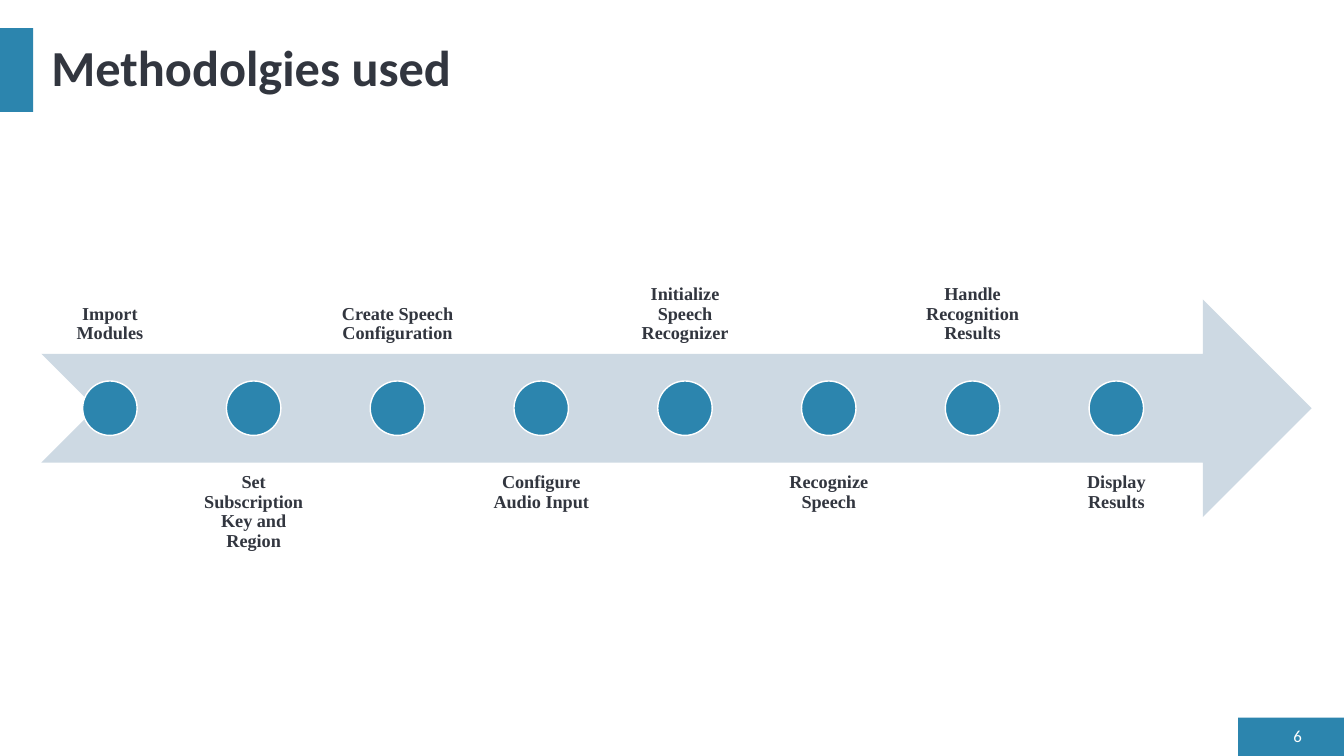
"""Build a slide with a timeline of eight steps along a notched arrow."""
from dataclasses import dataclass

from pptx import Presentation
from pptx import util as u
from pptx.dml.color import RGBColor
from pptx.enum import shapes, text

TITLE = "Methodolgies used"
PAGE = "6"
STEPS = [
    "Import Modules",
    "Set Subscription Key and Region",
    "Create Speech Configuration",
    "Configure Audio Input",
    "Initialize Speech Recognizer",
    "Recognize Speech",
    "Handle Recognition Results",
    "Display Results",
]


@dataclass(frozen=True)
class Theme:
    """Colours, fonts and type sizes."""
    blue: str = "2C85AE"
    pale: str = "CDD9E3"
    ink: str = "32363F"
    white: str = "FFFFFF"
    sans: str = "Calibri"
    serif: str = "Times New Roman"
    head: int = 36
    label: int = 13
    small: int = 12


T = Theme()
WIDE, HIGH = 13.33, 7.5
LEFT, SPAN = 0.41, 12.6
BAND = 2.16
MID = HIGH * 0.54
PITCH = SPAN * 0.9 * 1.006 / len(STEPS)
CELL = 1.36
DOT = BAND / 4

KIND = shapes.MSO_SHAPE
ALIGN = text.PP_ALIGN
ANCHOR = text.MSO_ANCHOR


def place(*box):
    return [u.Inches(v) for v in box]


def draw(host, kind, box, fill, line=None):
    item = host.shapes.add_shape(kind, *place(*box))
    item.shadow.inherit = False
    item.fill.solid()
    item.fill.fore_color.rgb = RGBColor.from_string(fill)
    if line:
        item.line.color.rgb = RGBColor.from_string(line)
        item.line.width = u.Pt(1)
    else:
        item.line.fill.background()


def write(item, words, face, size, tint, align, anchor, bold=True):
    frame = item.text_frame
    frame.text = words
    frame.word_wrap = True
    frame.auto_size = text.MSO_AUTO_SIZE.NONE
    frame.vertical_anchor = anchor
    para = frame.paragraphs[0]
    para.alignment = align
    para.line_spacing = 0.9
    font = para.runs[0].font
    font.name, font.size, font.bold = face, u.Pt(size), bold
    font.color.rgb = RGBColor.from_string(tint)
    return frame


def add_step(group, num, words):
    left = LEFT + num * PITCH
    above = num % 2 == 0
    top = MID - BAND / 4 - BAND if above else MID + BAND / 4
    label = group.shapes.add_textbox(*place(left, top, CELL, BAND))
    frame = write(label, words, T.serif, T.label, T.ink, ALIGN.CENTER,
                  ANCHOR.BOTTOM if above else ANCHOR.TOP)
    frame.margin_top = frame.margin_bottom = u.Inches(0.1)
    dot = (left + (CELL - DOT) / 2, MID - DOT / 2, DOT, DOT)
    draw(group, KIND.OVAL, dot, T.blue, T.white)


def main():
    prs = Presentation()
    prs.slide_width, prs.slide_height = place(WIDE, HIGH)
    slide = prs.slides.add_slide(prs.slide_layouts[5])

    draw(slide, KIND.RECTANGLE, (WIDE - 1.05, HIGH - 0.38, 1.05, 0.38), T.blue)
    draw(slide, KIND.RECTANGLE, (0, 0.28, 0.33, 0.83), T.blue)

    title = slide.shapes.title
    title.left, title.top, title.width, title.height = place(
        LEFT, 0.28, SPAN, 0.83)
    write(title, TITLE, T.sans, T.head, T.ink, ALIGN.LEFT, ANCHOR.MIDDLE)

    page = slide.shapes.add_textbox(*place(LEFT + SPAN - 0.41, 7.2, 0.41, 0.23))
    write(page, PAGE, T.sans, T.small, T.white, ALIGN.RIGHT, ANCHOR.MIDDLE,
          bold=False)

    group = slide.shapes.add_group_shape()
    draw(group, KIND.NOTCHED_RIGHT_ARROW,
         (LEFT, MID - BAND / 2, SPAN, BAND), T.pale)
    for num, words in enumerate(STEPS):
        add_step(group, num, words)

    prs.save("out.pptx")


if __name__ == "__main__":
    main()
